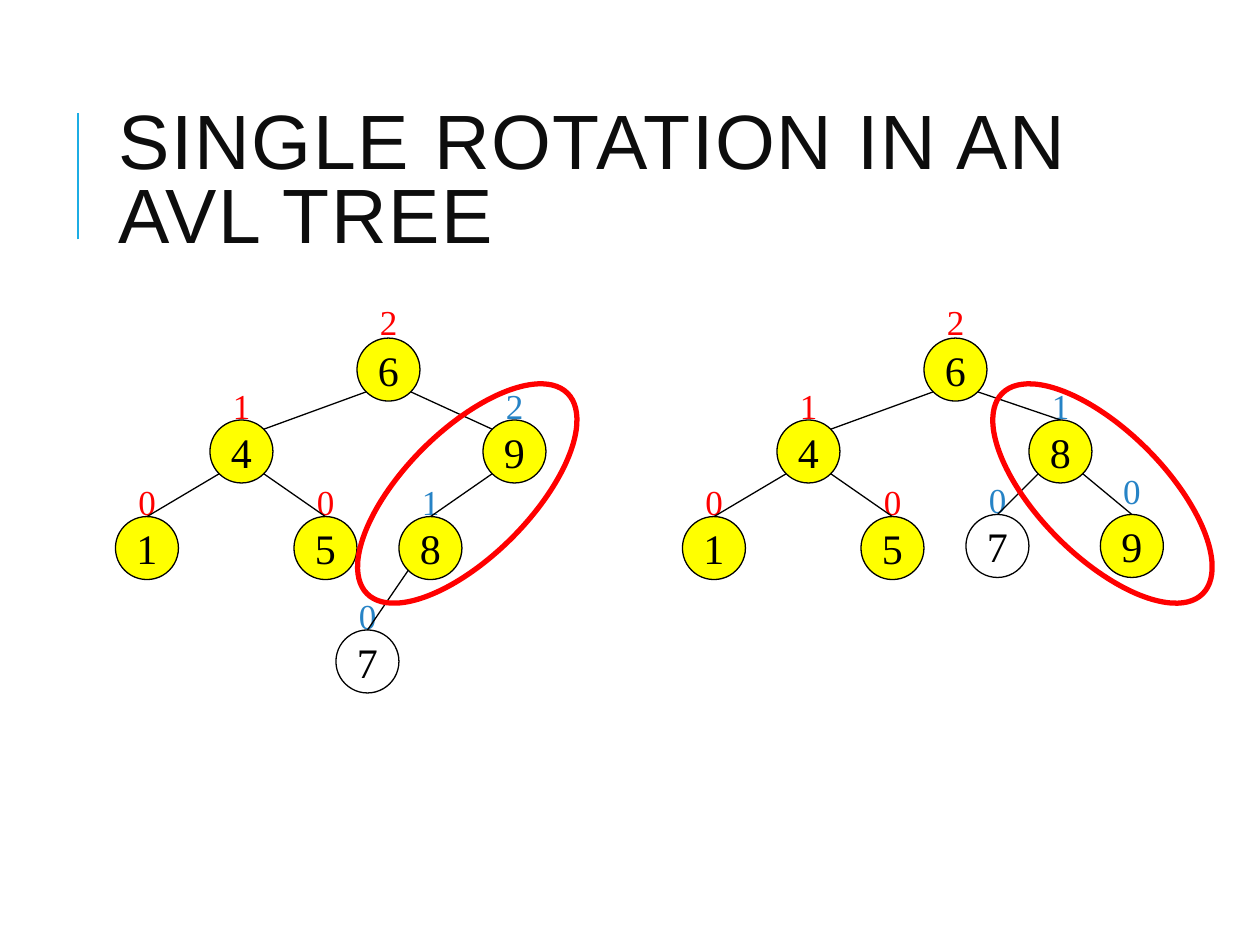
from dataclasses import dataclass, replace

from lxml import etree
from pptx import Presentation
from pptx import util as u
from pptx.dml.color import RGBColor
from pptx.enum import shapes, text
from pptx.oxml.ns import qn

BLACK = RGBColor(0x00, 0x00, 0x00)
INK = RGBColor(0x0D, 0x0D, 0x0D)
RED = RGBColor(0xFF, 0x00, 0x00)
BLUE = RGBColor(0x26, 0x83, 0xC6)
CYAN = RGBColor(0x1C, 0xAD, 0xE4)
YELLOW = RGBColor(0xFF, 0xFF, 0x00)
SERIF, SANS = "Times New Roman", "Arial"

WIDE, HIGH = u.Inches(10), u.Inches(7.5)
CELL = WIDE / 120  # the slide is a grid of 120 columns by 90 rows
SIZE = 6  # node diameter in cells
DIAG = SIZE / 2 * 0.5 ** 0.5  # centre to rim along one axis at 45 degrees
SHIFT = 54  # columns between the two trees


@dataclass(frozen=True)
class Node:
    key: str
    col: float
    row: float
    rank: str
    tint: RGBColor
    up: str = ""  # key of the parent
    fill: RGBColor | None = YELLOW
    lift: float = 4  # rows from the rank box down to the node
    slant: bool = False  # edge meets the node at its shoulder, not its top


@dataclass(frozen=True)
class Ring:
    col: float
    turn: int


BASE = [
    Node("6", 34, 32.2, "2", RED, lift=4.2),
    Node("4", 20, 40, "1", RED, "6", slant=True),
    Node("1", 11, 49.2, "0", RED, "4"),
    Node("5", 28, 49.2, "0", RED, "4"),
]
BEFORE = BASE + [
    Node("9", 46, 40, "2", BLUE, "6", slant=True),
    Node("8", 38, 49.2, "1", BLUE, "9"),
    Node("7", 32, 60, "0", BLUE, "8", fill=None),
]
AFTER = [replace(n, col=n.col + SHIFT) for n in BASE] + [
    Node("8", 98, 40, "1", BLUE, "6"),
    Node("9", 104.8, 49, "0", BLUE, "8", lift=4.9),
    Node("7", 92, 49, "0", BLUE, "8", fill=None),
]
RINGS = [Ring(31, 315), Ring(91.5, 45)]


def grid(*cells: float) -> list[int]:
    return [round(c * CELL) for c in cells]


def write(para, words: str, size: int, face: str, tint: RGBColor):
    run = para.add_run()
    run.text = words
    run.font.size, run.font.name = u.Pt(size), face
    run.font.color.rgb = tint
    return run


def line(slide, ends: tuple, tint: RGBColor, width: float) -> None:
    link = slide.shapes.add_connector(
        shapes.MSO_CONNECTOR.STRAIGHT, *grid(*ends))
    link.line.color.rgb, link.line.width = tint, u.Pt(width)
    etree.SubElement(link._element.spPr, qn("a:effectLst"))


def oval(slide, box: tuple, fill: RGBColor | None, tint: RGBColor,
         width: float):
    disc = slide.shapes.add_shape(shapes.MSO_SHAPE.OVAL, *grid(*box))
    disc.shadow.inherit = False
    if fill is None:
        disc.fill.background()
    else:
        disc.fill.solid()
        disc.fill.fore_color.rgb = fill
    disc.line.color.rgb, disc.line.width = tint, u.Pt(width)
    return disc


def rank(slide, node: Node) -> None:
    box = slide.shapes.add_textbox(
        *grid(node.col + 1, node.row - node.lift, 4.1, 5.2))
    frame = box.text_frame
    frame.word_wrap = False
    frame.auto_size = text.MSO_AUTO_SIZE.SHAPE_TO_FIT_TEXT
    write(frame.paragraphs[0], node.rank, 20, SERIF, node.tint)


def disc(slide, node: Node) -> None:
    shape = oval(slide, (node.col, node.row, SIZE, SIZE), node.fill,
                 BLACK, 0.75)
    frame = shape.text_frame
    frame.word_wrap = False
    frame.vertical_anchor = text.MSO_ANCHOR.MIDDLE
    para = frame.paragraphs[0]
    para.alignment = text.PP_ALIGN.CENTER
    write(para, node.key, 24, SERIF, BLACK)


def edge(slide, top: Node, low: Node) -> None:
    """Join the parent's lower flank to the child's top or shoulder."""
    half = SIZE / 2
    side = DIAG if low.col > top.col else -DIAG
    x, y = low.col + half, low.row
    if low.slant:
        x, y = x - side, y + half - DIAG
    start = (top.col + half + side, top.row + half + DIAG)
    line(slide, (*start, x, y), BLACK, 0.75)


def tree(slide, nodes: list[Node]) -> None:
    for node in nodes:
        rank(slide, node)
    for node in nodes:
        disc(slide, node)
    keys = {n.key: n for n in nodes}
    for node in nodes:
        if node.up:
            edge(slide, keys[node.up], node)


def title(slide, words: str) -> None:
    line(slide, (7.45, 22.8, 7.45, 10.8), CYAN, 1.5)
    box = slide.shapes.add_textbox(*grid(10.1, 7.7, 95.6, 19.7))
    frame = box.text_frame
    frame.word_wrap = True
    frame.vertical_anchor = text.MSO_ANCHOR.MIDDLE
    para = frame.paragraphs[0]
    para.line_spacing = 0.8
    run = write(para, words, 44, SANS, INK)
    run._r.get_or_add_rPr().set("spc", "100")


def main() -> None:
    deck = Presentation()
    deck.slide_width, deck.slide_height = WIDE, HIGH
    slide = deck.slides.add_slide(deck.slide_layouts[6])
    title(slide, "SINGLE ROTATION IN AN AVL TREE")
    for nodes in (BEFORE, AFTER):
        tree(slide, nodes)
    for ring in RINGS:
        oval(slide, (ring.col, 41, 27, 12), None, RED, 3).rotation = ring.turn
    deck.save("out.pptx")


if __name__ == "__main__":
    main()
